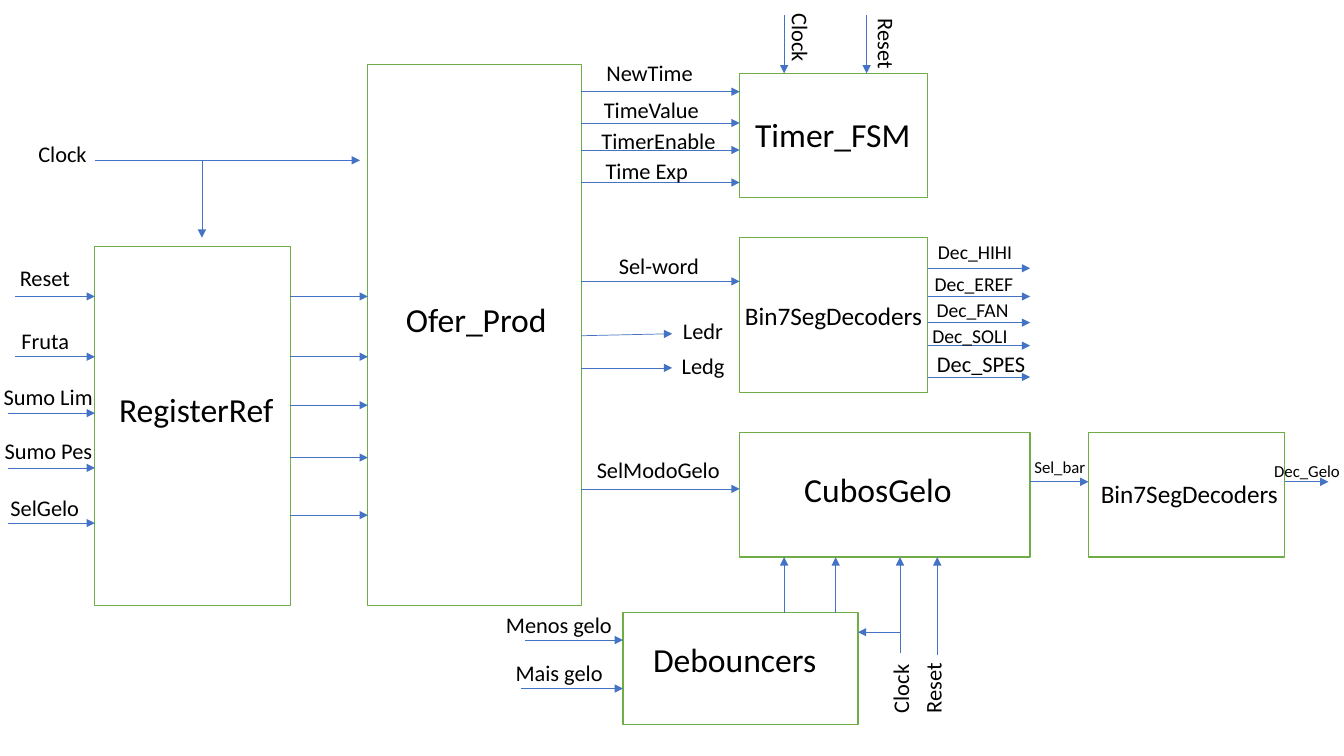
from lxml import etree
from pptx import Presentation
from pptx.dml.color import RGBColor
from pptx.enum.shapes import MSO_CONNECTOR, MSO_SHAPE
from pptx.enum.text import MSO_AUTO_SIZE, PP_ALIGN
from pptx.oxml.ns import qn
from pptx.util import Cm, Pt

RECTANGLE = MSO_SHAPE.RECTANGLE
STRAIGHT = MSO_CONNECTOR.STRAIGHT
GROW = MSO_AUTO_SIZE.SHAPE_TO_FIT_TEXT
CENTER = PP_ALIGN.CENTER

WHITE = RGBColor(0xFF, 0xFF, 0xFF)
BLACK = RGBColor(0x00, 0x00, 0x00)
GREEN = RGBColor(0x70, 0xAD, 0x47)
BLUE = RGBColor(0x44, 0x72, 0xC4)
FONT = "Calibri"

# Label height in cm for each text size in points
LABEL_HEIGHT = {12: 0.77, 14: 0.86, 16: 0.94, 18: 1.03, 24: 1.28}

# Block edges in cm, shared by blocks and wires
REGISTER_LEFT, REGISTER_RIGHT = 2.39, 7.32
OFER_LEFT, OFER_RIGHT = 9.27, 14.65
TIMER_LEFT, TIMER_RIGHT, TIMER_TOP = 18.64, 23.38, 1.85
CUBOS_RIGHT, CUBOS_TOP, CUBOS_BOTTOM = 25.96, 10.9, 14.04
BAR_LEFT, BAR_RIGHT = 27.43, 32.38
DEBOUNCE_LEFT, DEBOUNCE_RIGHT, DEBOUNCE_TOP = 15.7, 21.62, 15.44

# Left, top, right, bottom
BLOCKS = [
    (REGISTER_LEFT, 6.22, REGISTER_RIGHT, 15.26),
    (OFER_LEFT, 1.63, OFER_RIGHT, 15.26),
    (TIMER_LEFT, CUBOS_TOP, CUBOS_RIGHT, CUBOS_BOTTOM),
    (TIMER_LEFT, TIMER_TOP, TIMER_RIGHT, 4.98),
    (TIMER_LEFT, 5.99, TIMER_RIGHT, 9.9),
    (BAR_LEFT, CUBOS_TOP, BAR_RIGHT, CUBOS_BOTTOM),
    (DEBOUNCE_LEFT, DEBOUNCE_TOP, DEBOUNCE_RIGHT, 18.26),
]

# Horizontal wires: start x, end x, heights
HORIZONTAL_WIRES = [
    (REGISTER_LEFT, 9.07, [4.04]),
    (REGISTER_RIGHT, OFER_LEFT, [7.47, 8.99, 10.21, 11.53, 12.98]),
    (0.38, REGISTER_LEFT, [7.47, 8.99]),
    (0.2, REGISTER_LEFT, [10.41, 11.79, 13.18]),
    (OFER_RIGHT, TIMER_LEFT, [2.31, 3.1, 3.78, 4.6, 7.09, 12.32]),
    (OFER_RIGHT, 16.94, [9.27]),
    (13.23, DEBOUNCE_LEFT, [16.13]),
    (13.13, DEBOUNCE_LEFT, [17.35]),
    (22.68, DEBOUNCE_RIGHT, [15.93]),
    (CUBOS_RIGHT, BAR_LEFT, [12.14]),
    (BAR_RIGHT, 33.48, [12.14]),
    (TIMER_RIGHT, CUBOS_RIGHT, [6.76, 7.47, 8.13, 8.71, 9.5]),
]

# Vertical wires: start y, end y, x positions
VERTICAL_WIRES = [
    (4.04, 5.99, [5.09]),
    (0.38, TIMER_TOP, [19.76, 21.84]),
    (DEBOUNCE_TOP, CUBOS_BOTTOM, [19.76, 21.06]),
    (16.46, CUBOS_BOTTOM, [22.68]),
    (16.51, CUBOS_BOTTOM, [23.62]),
]

# Text, left, top, width
SIGNALS = [
    ("Reset", 0.23, 6.53, 1.8),
    ("Fruta", 0.25, 8.13, 1.78),
    ("Sumo Lim", -0.18, 9.53, 2.79),
    ("Sumo Pes", -0.15, 10.9, 2.74),
    ("SelGelo", 0, 12.32, 2.26),
    ("Menos gelo", 12.47, 15.27, 3.23),
    ("Mais gelo", 12.73, 16.48, 2.72),
    ("SelModoGelo", 14.76, 11.38, 3.66),
    ("Ledr", 16.94, 7.87, 1.55),
    ("Ledg", 16.92, 8.74, 1.6),
    ("Sel-word", 15.32, 6.22, 2.57),
    ("NewTime", 15.01, 1.37, 2.72),
    ("TimeValue", 14.94, 2.31, 2.95),
    ("TimerEnable", 14.88, 3.07, 3.43),
    ("Time Exp", 14.99, 3.84, 2.62),
    ("Dec_SPES", 23.34, 8.71, 2.77),
]
DECODER_OUTPUTS = [
    ("Dec_HIHI", 23.37, 5.92, 2.41),
    ("Dec_EREF", 23.29, 6.73, 2.51),
    ("Dec_FAN", 23.34, 7.39, 2.34),
    ("Dec_SOLI", 23.24, 8.03, 2.41),
]
BLOCK_NAMES = [
    ("RegisterRef", 2.72, 9.68, 4.45),
    ("Ofer_Prod", 9.96, 7.42, 4.09),
    ("Timer_FSM", 18.75, 2.74, 4.47),
    ("Debouncers", 16.18, 15.98, 4.67),
    ("CubosGelo", 19.99, 11.68, 4.27),
]
DECODER_NAMES = [
    ("Bin7SegDecoders", 18.49, 7.44, 5.03),
    ("Bin7SegDecoders", 27.46, 11.94, 5.03),
]


def add_block(slide, left, top, right, bottom):
    block = slide.shapes.add_shape(
        RECTANGLE, Cm(left), Cm(top), Cm(right - left), Cm(bottom - top))
    block.shadow.inherit = False
    block.fill.solid()
    block.fill.fore_color.rgb = WHITE
    block.line.color.rgb = GREEN
    block.line.width = Pt(1)


def add_wire(slide, x1, y1, x2, y2):
    wire = slide.shapes.add_connector(STRAIGHT, Cm(x1), Cm(y1), Cm(x2), Cm(y2))
    wire.line.color.rgb = BLUE
    wire.line.width = Pt(0.5)
    arrowhead = etree.SubElement(wire.line._get_or_add_ln(), qn("a:tailEnd"))
    arrowhead.set("type", "triangle")
    etree.SubElement(wire._element.spPr, qn("a:effectLst"))


def add_label(slide, text, left, top, width, *, size=16, rotation=0, wrap=False):
    label = slide.shapes.add_textbox(
        Cm(left), Cm(top), Cm(width), Cm(LABEL_HEIGHT[size]))
    label.rotation = rotation
    frame = label.text_frame
    frame.word_wrap = wrap
    frame.auto_size = GROW
    paragraph = frame.paragraphs[0]
    paragraph.alignment = CENTER
    run = paragraph.add_run()
    run.text = text
    run.font.name = FONT
    run.font.size = Pt(size)
    run.font.color.rgb = BLACK


def main():
    deck = Presentation()
    deck.slide_width, deck.slide_height = Cm(33.87), Cm(19.05)
    slide = deck.slides.add_slide(deck.slide_layouts[6])

    # Blocks
    for edges in BLOCKS:
        add_block(slide, *edges)

    # Wires
    for start, end, heights in HORIZONTAL_WIRES:
        for y in heights:
            add_wire(slide, start, y, end, y)
    for start, end, positions in VERTICAL_WIRES:
        for x in positions:
            add_wire(slide, x, start, x, end)
    add_wire(slide, OFER_RIGHT, 8.46, 16.94, 8.41)

    # Signal and block names
    for labels, size in ((SIGNALS, 16), (DECODER_OUTPUTS, 14),
                         (BLOCK_NAMES, 24), (DECODER_NAMES, 18)):
        for label in labels:
            add_label(slide, *label, size=size)
    add_label(slide, "Sel_bar", 25.58, 11.38, 2.26, size=12, wrap=True)
    add_label(slide, "Dec_Gelo", 31.85, 11.48, 2.18, size=12)

    # Clock and reset
    add_label(slide, "Clock", -1.65, 3.4, 6.45, wrap=True)
    add_label(slide, "Clock", 19.3, 0.48, 1.75, rotation=90)
    add_label(slide, "Reset", 21.44, 0.64, 1.8, rotation=90)
    add_label(slide, "Clock", 21.82, 16.89, 1.75, rotation=270)
    add_label(slide, "Reset", 22.61, 16.87, 1.8, rotation=270)

    deck.save("out.pptx")


if __name__ == "__main__":
    main()
